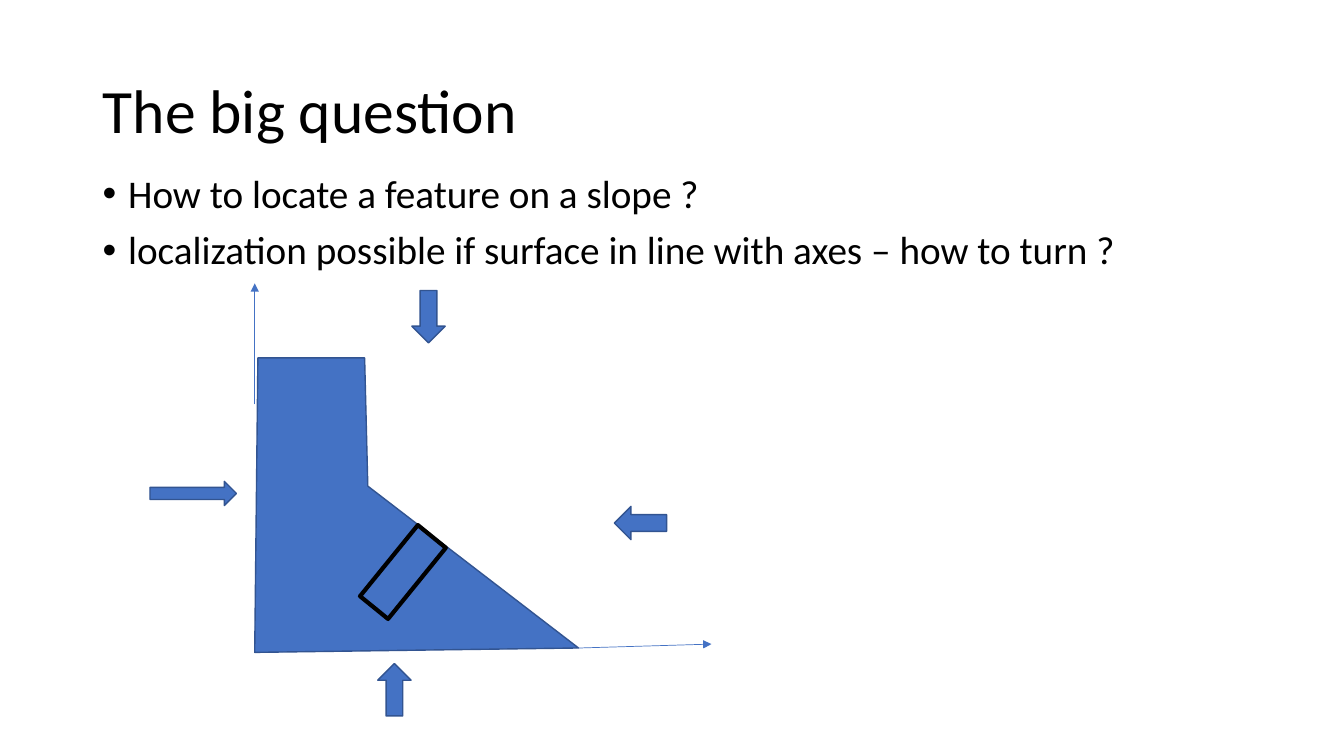
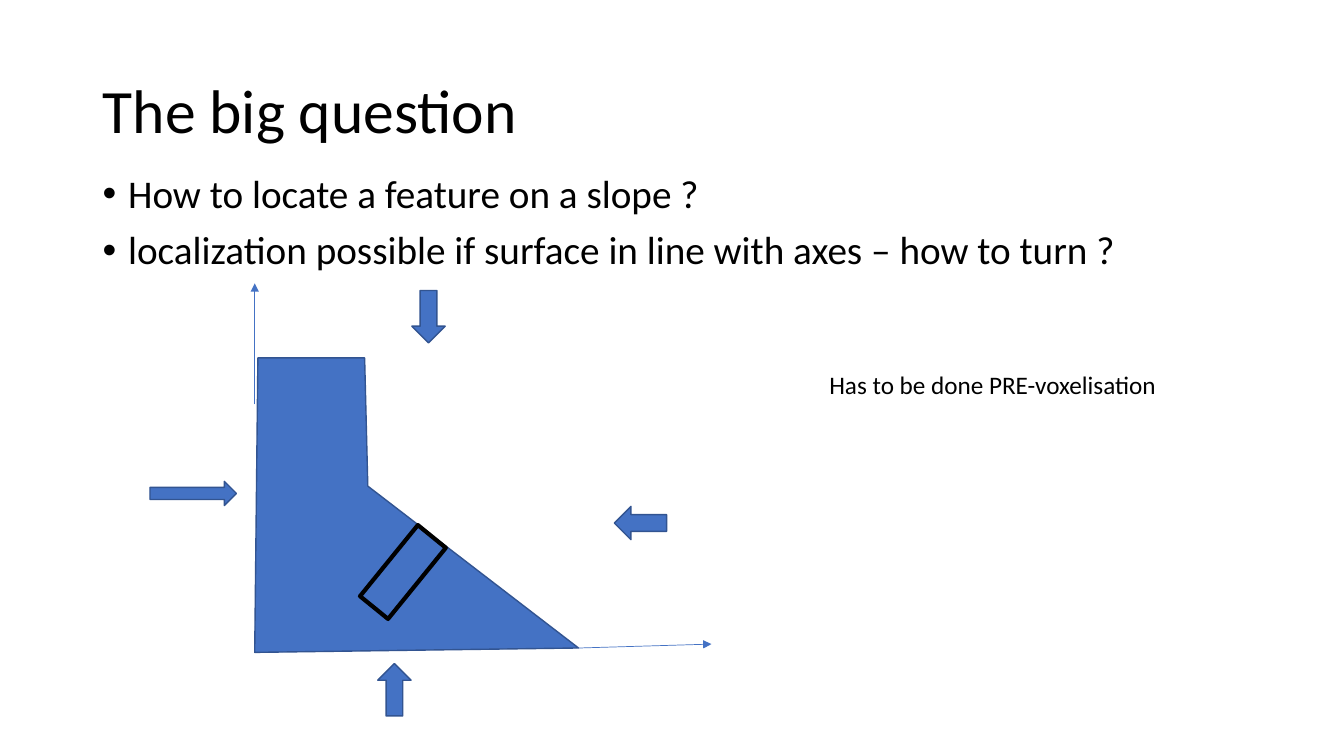
from lxml.etree import SubElement
from pptx import Presentation
from pptx.dml.color import RGBColor
from pptx.enum.shapes import MSO_CONNECTOR, MSO_SHAPE
from pptx.enum.text import MSO_ANCHOR
from pptx.oxml.ns import qn
from pptx.util import Cm, Pt

COLORS = {"blue": "4472C4", "edge": "325491", "black": "000000"}
FONT = "Calibri"

TITLE_BOX = (2.34, 1.02, 29.21, 3.68)
BODY_BOX = (2.34, 4.27, 29.21, 12.9)
DIAGRAM_ORIGIN = (3.78, 7.14)
NOTE_BOX = (20.65, 9.17, 12.57, 1.02)

TITLE = "The big question"
BULLETS = (
    "How to locate a feature on a slope ?",
    "localization possible if surface in line with axes – how to turn ?",
)
NOTE = "Has to be done PRE-voxelisation"

PART_OUTLINE = ((2.72, 1.88), (2.64, 9.3), (10.8, 9.19), (5.49, 5.11), (5.41, 1.88))
SLOT = (5.92, 6.12, 0.91, 2.31)
AXES = (((10.8, 9.19), (14.15, 9.09)), ((2.64, 3.05), (2.64, 0)))
VIEW_ARROWS = (
    (MSO_SHAPE.RIGHT_ARROW, (0, 4.99, 2.18, 0.61), 0),
    (MSO_SHAPE.DOWN_ARROW, (6.6, 0.18, 0.84, 1.32), 0),
    (MSO_SHAPE.DOWN_ARROW, (5.74, 9.58, 0.84, 1.32), 180),
    (MSO_SHAPE.DOWN_ARROW, (11.94, 5.38, 0.84, 1.32), 90),
)


def rgb(name):
    """Return a palette colour."""
    return RGBColor.from_string(COLORS[name])


def add_bullet(p, indent=0.64):
    """Give a paragraph a hanging round bullet."""
    pPr = p._p.get_or_add_pPr()
    pPr.set("marL", str(Cm(indent)))
    pPr.set("indent", str(-Cm(indent)))
    SubElement(pPr, qn("a:buFont")).set("typeface", "Arial")
    SubElement(pPr, qn("a:buChar")).set("char", "•")


def add_text(s, box, *lines, size=18, color="black", anchor=MSO_ANCHOR.TOP,
             spacing=None, before=None, bullet=False):
    """Add a text box with one paragraph per line."""
    tf = s.shapes.add_textbox(*map(Cm, box)).text_frame
    tf.word_wrap = True
    tf.vertical_anchor = anchor
    for i, line in enumerate(lines):
        p = tf.add_paragraph() if i else tf.paragraphs[0]
        p.line_spacing = spacing
        p.space_before = before
        if bullet:
            add_bullet(p)
        r = p.add_run()
        r.text = line
        r.font.name, r.font.size = FONT, Pt(size)
        r.font.color.rgb = rgb(color)


def paint(sp, line="edge", width=1):
    """Fill a shape blue, outline it and drop its shadow."""
    sp.shadow.inherit = False
    sp.fill.solid()
    sp.fill.fore_color.rgb = rgb("blue")
    sp.line.color.rgb = rgb(line)
    sp.line.width = Pt(width)


def add_shape(s, origin, kind, box, rotation=0, **style):
    """Add a painted preset shape relative to the origin."""
    x, y, w, h = box
    sp = s.shapes.add_shape(kind, Cm(origin[0] + x), Cm(origin[1] + y), Cm(w), Cm(h))
    sp.rotation = rotation
    paint(sp, **style)


def add_axis(s, start, end):
    """Add a thin axis with an arrowhead at its end."""
    axis = s.shapes.add_connector(MSO_CONNECTOR.STRAIGHT, *start, *end)
    axis.line.color.rgb = rgb("blue")
    axis.line.width = Pt(0.5)
    SubElement(axis.line._get_or_add_ln(), qn("a:tailEnd")).set("type", "triangle")
    SubElement(axis._element.spPr, qn("a:effectLst"))


def draw_diagram(s, origin):
    """Draw the sloped part with its slot, axes and view arrows."""
    def place(point):
        """Shift a diagram point to the slide."""
        return Cm(origin[0] + point[0]), Cm(origin[1] + point[1])

    start, *rest = map(place, PART_OUTLINE)
    builder = s.shapes.build_freeform(*start, scale=1.0)
    builder.add_line_segments(rest, close=True)
    paint(builder.convert_to_shape())
    add_shape(s, origin, MSO_SHAPE.RECTANGLE, SLOT, 39.1, line="black", width=3)
    for tail, tip in AXES:
        add_axis(s, place(tail), place(tip))
    for kind, box, rotation in VIEW_ARROWS:
        add_shape(s, origin, kind, box, rotation)


def question_slide(prs, note=None):
    """Add the question slide, with a side note if given."""
    s = prs.slides.add_slide(prs.slide_layouts[6])
    add_text(s, TITLE_BOX, TITLE, size=44, anchor=MSO_ANCHOR.MIDDLE, spacing=0.9)
    add_text(s, BODY_BOX, *BULLETS, size=28, spacing=0.9, before=Pt(10), bullet=True)
    draw_diagram(s, DIAGRAM_ORIGIN)
    if note:
        add_text(s, NOTE_BOX, note)


prs = Presentation()
prs.slide_width, prs.slide_height = Cm(33.87), Cm(19.05)
for note in (None, NOTE):
    question_slide(prs, note)
prs.save("out.pptx")
